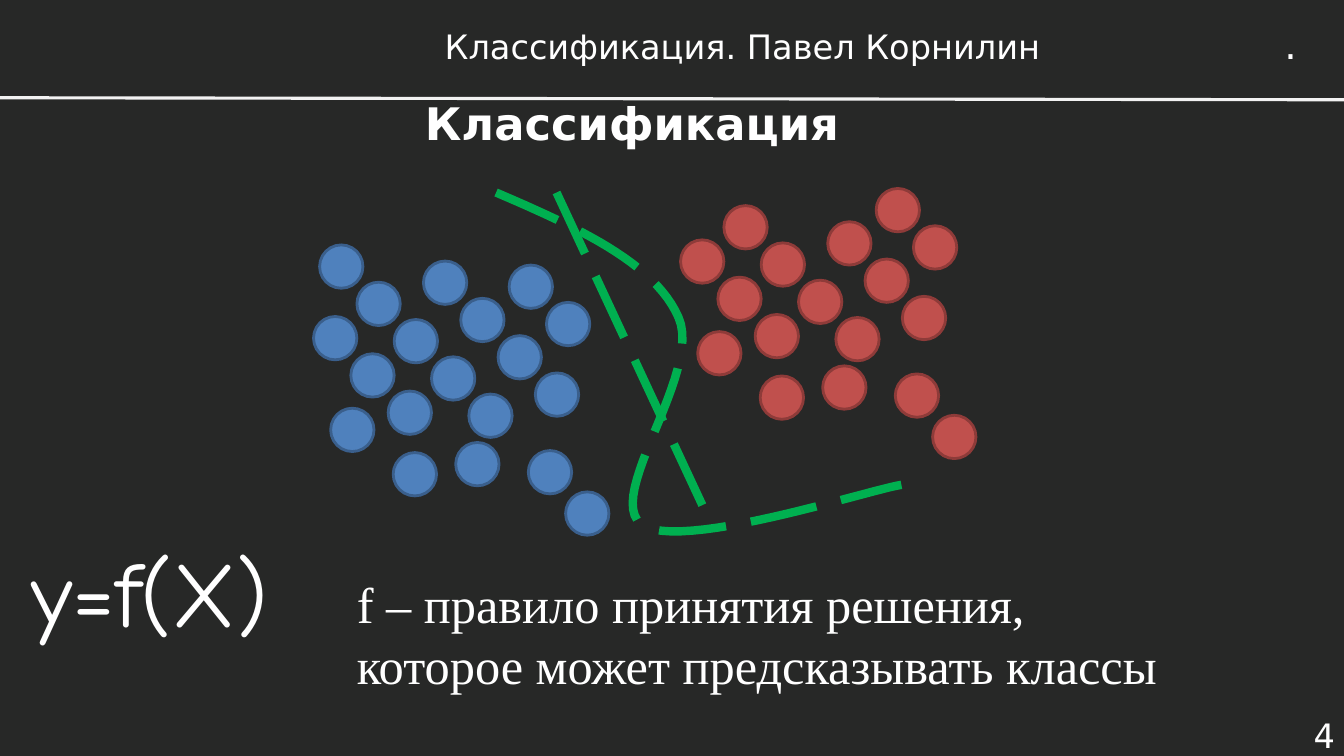
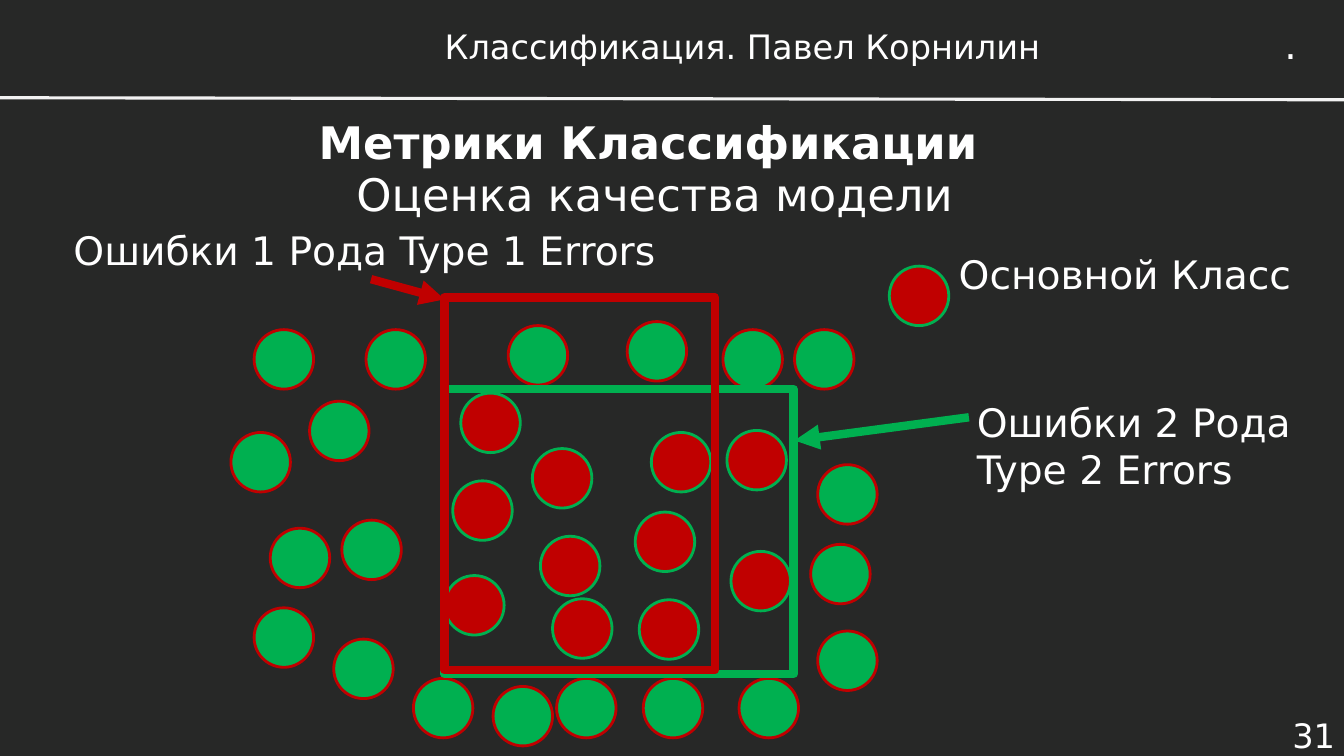
"""Build two dark slides about classification and its errors."""
import dataclasses

import lxml.etree
import pptx
import pptx.dml.color
import pptx.enum.dml
import pptx.enum.shapes
import pptx.enum.text
import pptx.oxml.ns
import pptx.util

Inches = pptx.util.Inches
Align = pptx.enum.text.PP_ALIGN
Anchor = pptx.enum.text.MSO_ANCHOR
Shape = pptx.enum.shapes.MSO_SHAPE


@dataclasses.dataclass(frozen=True)
class Theme:
    """Hold the colours, fonts and sizes that the slides share."""
    background: str = "272827"
    text: str = "FFFFFF"
    rule: str = "F2F2F2"
    blue: str = "4F81BD"
    blue_edge: str = "3A5F8C"
    red: str = "C0504D"
    red_edge: str = "8E3B39"
    green: str = "00B050"
    crimson: str = "C00000"
    font: str = "DejaVu Sans"
    serif: str = "Times New Roman"
    formula_font: str = "Comic Neue"
    title_size: int = 32
    header_size: int = 24
    label_size: int = 28
    body_size: int = 36
    formula_size: int = 66
    rule_width: float = 2.25
    edge_width: float = 2
    heavy_width: float = 6


THEME = Theme()
LONG_DASH = pptx.enum.dml.MSO_LINE.LONG_DASH
HEADER = "Классификация. Павел Корнилин"

DOT_SIZE = 0.43
DOT_STEP = 0.37
RED_SHIFT = (3.64, -0.76)
DOT_CHAINS = (
    (3.17, 2.43, 5, 1), (5.24, 4.47, 1, 0), (5.61, 4.88, 1, 0),
    (4.2, 2.59, 4, 1), (3.11, 3.14, 3, 0), (4.52, 4.39, 1, 0),
    (3.28, 4.05, 1, 0), (3.9, 4.49, 1, 0), (5.05, 2.63, 2, 0),
)
BOUNDARY_START = (4.92, 1.91)
BOUNDARY_CURVES = (
    ((5.71, 2.25), (6.49, 2.6), (6.73, 3.15)),
    ((6.97, 3.69), (5.99, 4.92), (6.36, 5.2)),
    ((6.72, 5.48), (8.62, 4.86), (8.94, 4.81)),
)

SAMPLE_SIZE = 0.59
OTHER_CLASS = (
    (2.52, 3.27), (2.29, 4.29), (3.63, 3.27), (3.07, 3.98), (2.68, 5.24),
    (2.52, 6.03), (3.39, 5.16), (3.31, 6.34), (4.1, 6.73), (4.89, 6.81),
    (5.52, 6.73), (6.38, 6.73), (5.04, 3.23), (6.22, 3.19), (7.88, 3.27),
    (8.04, 5.4), (8.11, 4.61), (7.33, 6.73), (8.11, 6.26), (7.17, 3.27),
)
MAIN_CLASS = (
    (4.49, 4.77), (4.57, 3.9), (5.28, 4.45), (6.46, 4.29), (5.36, 5.32),
    (4.41, 5.71), (6.34, 5.95), (6.3, 5.08), (5.48, 5.94), (7.21, 4.27),
    (7.25, 5.47),
)
LEGEND_DOT = (8.82, 2.64)


def rgb(value):
    """Turn a hex string into a colour."""
    return pptx.dml.color.RGBColor.from_string(value)


def set_values(target, values):
    """Set each named attribute of the target."""
    for name, value in values.items():
        setattr(target, name, value)


def format_line(line, color, width, dash=None):
    """Give a line its colour, width and dash."""
    line.color.rgb = rgb(color)
    set_values(line, {"width": pptx.util.Pt(width), "dash_style": dash})


def write_text(shape, text, size, bold=False, font=THEME.font,
               align=Align.LEFT, anchor=Anchor.TOP, wrap=True):
    """Write formatted paragraphs into a shape."""
    frame = shape.text_frame
    frame.text = text
    set_values(frame, {"word_wrap": wrap, "vertical_anchor": anchor,
                       "auto_size": pptx.enum.text.MSO_AUTO_SIZE.NONE})
    for paragraph in frame.paragraphs:
        paragraph.alignment = align
        set_values(paragraph.font, {"name": font, "bold": bold,
                                    "size": pptx.util.Pt(size)})
        paragraph.font.color.rgb = rgb(THEME.text)


def add_text(slide, box, text, size, **options):
    """Add a text box at left, top, width, height."""
    shape = slide.shapes.add_textbox(*map(Inches, box))
    write_text(shape, text, size, **options)


def add_label(slide, box, text):
    """Add a label that keeps its own line breaks."""
    add_text(slide, box, text, THEME.label_size, wrap=False)


def add_outlined(shapes, kind, box, edge, width, fill=None):
    """Add a preset shape with an outline and an optional fill."""
    shape = shapes.add_shape(kind, *map(Inches, box))
    shape.shadow.inherit = False
    if fill:
        shape.fill.solid()
        shape.fill.fore_color.rgb = rgb(fill)
    else:
        shape.fill.background()
    format_line(shape.line, edge, width)


def add_circles(shapes, places, size, fill, edge):
    """Add equal circles at the given top left corners."""
    for left, top in places:
        add_outlined(shapes, Shape.OVAL, (left, top, size, size), edge,
                     THEME.edge_width, fill)


def add_line(slide, start, end, color, width, dash=None, arrow=False):
    """Add a straight line, with an arrowhead at its end on request."""
    line = slide.shapes.add_connector(
        pptx.enum.shapes.MSO_CONNECTOR.STRAIGHT, *map(Inches, start + end))
    format_line(line.line, color, width, dash)
    if arrow:
        lxml.etree.SubElement(line.line._get_or_add_ln(),
                              pptx.oxml.ns.qn("a:tailEnd"), type="triangle")
    lxml.etree.SubElement(line._element.spPr, pptx.oxml.ns.qn("a:effectLst"))


def curve_points(start, curves, steps=24):
    """List points along joined cubic curves."""
    points = []
    for curve in curves:
        controls = (start,) + curve
        for step in range(1, steps + 1):
            t = step / steps
            weights = ((1 - t) ** 3, 3 * t * (1 - t) ** 2,
                       3 * t ** 2 * (1 - t), t ** 3)
            points.append(tuple(
                Inches(sum(weight * value for weight, value in zip(weights, axis)))
                for axis in zip(*controls)))
        start = curve[-1]
    return points


def add_curve(slide, start, curves, color, width, dash):
    """Add an open curved outline."""
    builder = slide.shapes.build_freeform(*map(Inches, start))
    builder.add_line_segments(curve_points(start, curves), close=False)
    shape = builder.convert_to_shape()
    shape.shadow.inherit = False
    shape.fill.background()
    format_line(shape.line, color, width, dash)


def chain_places(shift=(0, 0), trimmed=False):
    """List dot corners along the chains, less the skipped leading dots if trimmed."""
    return [(left + shift[0] + index * DOT_STEP, top + shift[1] + index * DOT_STEP)
            for left, top, count, skipped in DOT_CHAINS
            for index in range(skipped if trimmed else 0, count)]


def add_slide(presentation, title, title_box, number):
    """Add a slide with its title, header, rule and number."""
    slide = presentation.slides.add_slide(presentation.slide_layouts[5])
    placeholder = slide.shapes.title
    set_values(placeholder, dict(zip(("left", "top", "width", "height"),
                                     map(Inches, title_box))))
    write_text(placeholder, title, THEME.title_size, bold=True,
               align=Align.CENTER, anchor=Anchor.MIDDLE)
    add_text(slide, (12.29, 7.08, 1.05, 0.42), number, THEME.header_size,
             align=Align.RIGHT, anchor=Anchor.MIDDLE)
    add_text(slide, (3.44, 0.19, 7.85, 0.53), HEADER, THEME.header_size,
             align=Align.CENTER, anchor=Anchor.MIDDLE)
    add_line(slide, (0, 0.97), (13.33, 0.99), THEME.rule, THEME.rule_width)
    add_label(slide, (12.64, 0.15, 0.34, 0.57), ".")
    return slide


def build_classification(presentation):
    """Show two classes of dots and two decision boundaries."""
    slide = add_slide(presentation, "Классификация", (1.94, 0.76, 8.66, 0.91), "4")
    add_text(slide, (0.21, 5.26, 3.07, 1.21), "y=f(X)", THEME.formula_size,
             font=THEME.formula_font)
    add_text(slide, (3.44, 5.64, 8.35, 1.31),
             "f – правило принятия решения, которое может предсказывать классы",
             THEME.body_size, font=THEME.serif)
    for places, fill, edge in (
            (chain_places(RED_SHIFT, trimmed=True), THEME.red, THEME.red_edge),
            (chain_places(), THEME.blue, THEME.blue_edge)):
        group = slide.shapes.add_group_shape()
        add_circles(group.shapes, places, DOT_SIZE, fill, edge)
    boundary = (THEME.green, THEME.heavy_width, LONG_DASH)
    add_line(slide, (5.52, 1.91), (7.04, 5.17), *boundary)
    add_curve(slide, BOUNDARY_START, BOUNDARY_CURVES, *boundary)


def build_metrics(presentation):
    """Show the two types of classification errors."""
    slide = add_slide(presentation, "Метрики Классификации",
                      (2.1, 0.95, 8.66, 0.91), "31")
    add_text(slide, (2.89, 1.47, 7.21, 0.91), "Оценка качества модели",
             THEME.title_size, align=Align.CENTER, anchor=Anchor.MIDDLE)
    for places, fill, edge in ((OTHER_CLASS, THEME.green, THEME.crimson),
                               (MAIN_CLASS, THEME.crimson, THEME.green),
                               ((LEGEND_DOT,), THEME.crimson, THEME.green)):
        add_circles(slide.shapes, places, SAMPLE_SIZE, fill, edge)
    add_label(slide, (9.41, 2.43, 3.49, 0.57), "Основной Класс")
    add_label(slide, (9.59, 3.9, 3.45, 1.04), "Ошибки 2 Рода\nType 2 Errors")
    add_label(slide, (0.63, 2.2, 6.09, 0.57), "Ошибки 1 Рода Type 1 Errors")
    for start, end, box, color in (
            ((9.61, 4.14), (7.88, 4.37), (4.41, 3.86, 3.46, 2.83), THEME.green),
            ((3.68, 2.77), (4.41, 2.97), (4.41, 2.95, 2.68, 3.7), THEME.crimson)):
        add_line(slide, start, end, color, THEME.heavy_width, arrow=True)
        add_outlined(slide.shapes, Shape.RECTANGLE, box, color, THEME.heavy_width)


def main():
    """Build and save the presentation."""
    presentation = pptx.Presentation()
    set_values(presentation, {"slide_width": Inches(13.33),
                              "slide_height": Inches(7.5)})
    background = presentation.slide_master.background.fill
    background.solid()
    background.fore_color.rgb = rgb(THEME.background)
    build_classification(presentation)
    build_metrics(presentation)
    presentation.save("out.pptx")


if __name__ == "__main__":
    main()
